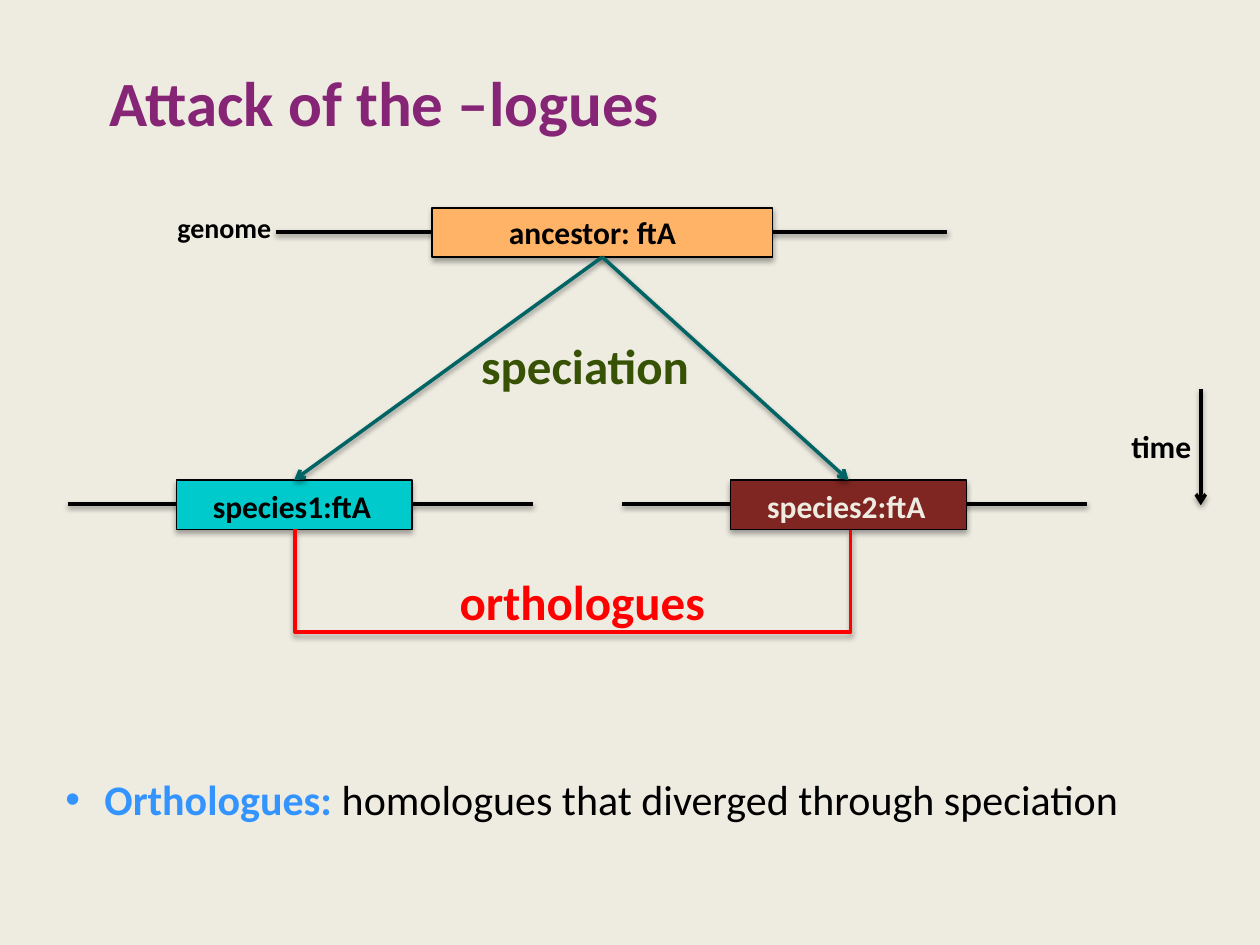
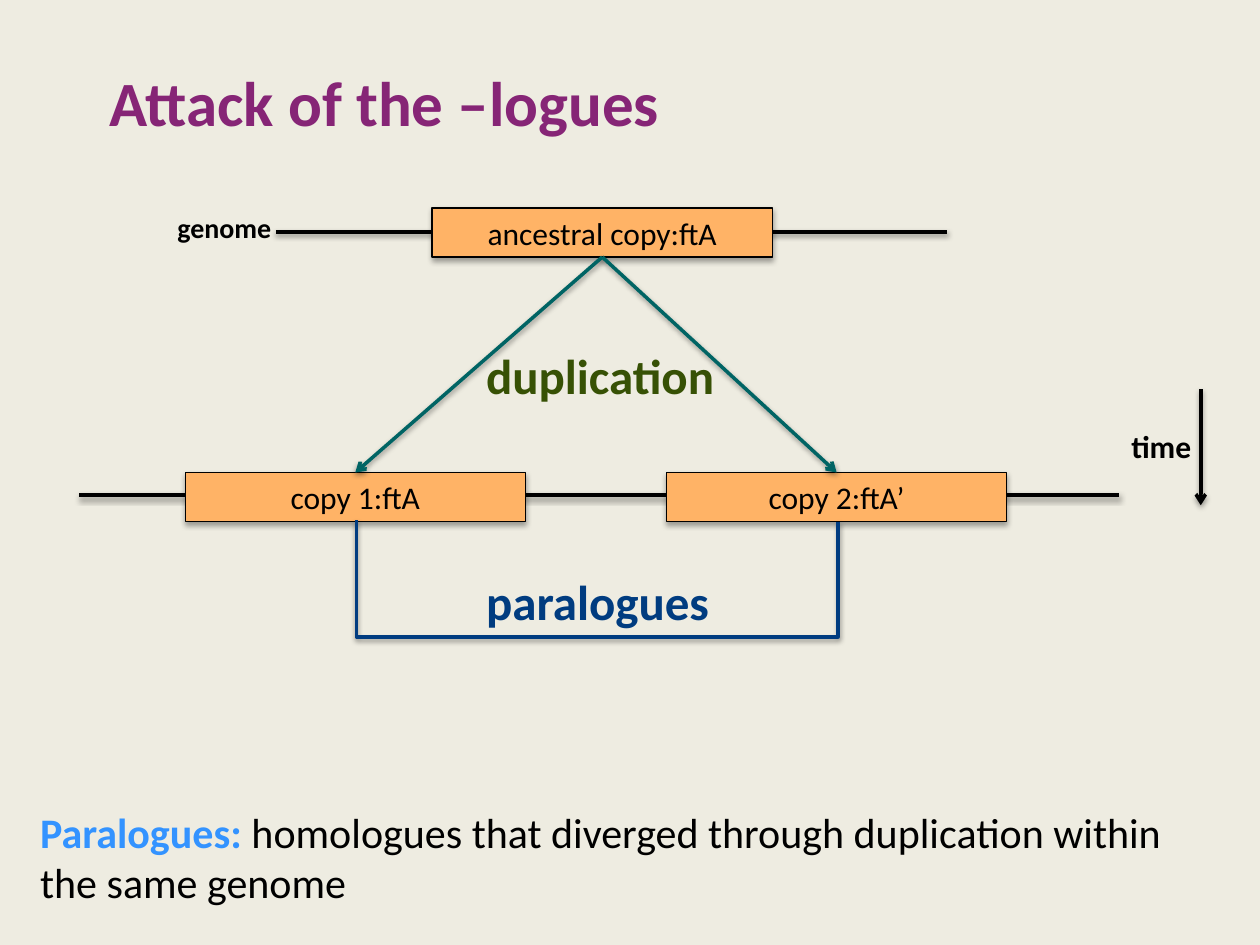
from lxml import etree
from pptx import Presentation
from pptx.dml.color import RGBColor
from pptx.enum.shapes import MSO_CONNECTOR as CONN, MSO_SHAPE as SHAPE
from pptx.enum.text import MSO_ANCHOR as ANCHOR, MSO_AUTO_SIZE as FIT, PP_ALIGN as ALIGN
from pptx.oxml import parse_xml
from pptx.oxml.ns import nsdecls, qn
from pptx.util import Inches, Pt

PAPER, BLACK, PLUM = "EEECE1", "000000", "862576"
ORANGE, CYAN, MAROON = "FFB366", "00CACB", "7F2522"
TEAL, GREEN, RED, NAVY, SKY = "006464", "375105", "FF0000", "003C80", "3393FF"
GENE_H = 0.39


def rgb(value):
    return RGBColor.from_string(value)


class Deck:
    font = "Calibri"

    def __init__(self):
        self.prs = Presentation()
        self.prs.slide_width, self.prs.slide_height = Inches(10), Inches(7.5)
        self.s = None

    def slide(self):
        self.s = self.prs.slides.add_slide(self.prs.slide_layouts[6])
        fill = self.s.background.fill
        fill.solid()
        fill.fore_color.rgb = rgb(PAPER)

    def style(self, target, size, color, bold):
        f = target.font
        f.name, f.size, f.bold = self.font, Pt(size), bold
        f.color.rgb = rgb(color)

    def shadow(self, sp, distance, alpha):
        sp._element.spPr.append(parse_xml(
            f'<a:effectLst {nsdecls("a")}><a:outerShdw blurRad="{Pt(3.1)}" '
            f'dist="{Pt(distance)}" dir="5400000" rotWithShape="0">'
            f'<a:srgbClr val="{BLACK}"><a:alpha val="{alpha * 1000}"/></a:srgbClr>'
            '</a:outerShdw></a:effectLst>'))

    def text(self, x, y, w, h, text, size, color=BLACK, bold=True, wrap=False):
        box = self.s.shapes.add_textbox(Inches(x), Inches(y), Inches(w), Inches(h))
        tf = box.text_frame
        tf.word_wrap = wrap
        tf.auto_size = FIT.SHAPE_TO_FIT_TEXT
        tf.text = text
        self.style(tf.paragraphs[0], size, color, bold)
        return tf

    def title(self, text):
        tf = self.text(0.87, 0.44, 7.73, 0.72, text, 36, PLUM, wrap=True)
        tf.auto_size = FIT.NONE
        tf.vertical_anchor = ANCHOR.MIDDLE
        tf.margin_left = 0

    def definition(self, x, y, w, h, term, meaning, bullet=False):
        tf = self.text(x, y, w, h, "", 24, wrap=True)
        p = tf.paragraphs[0]
        if bullet:
            pPr = p._p.get_or_add_pPr()
            pPr.set("marL", str(Inches(0.31)))
            pPr.set("indent", str(Inches(-0.31)))
            pPr.insert(0, parse_xml(f'<a:buFont {nsdecls("a")} typeface="Arial"/>'))
            pPr.insert(1, parse_xml(f'<a:buChar {nsdecls("a")} char="•"/>'))
        for part, color, bold in ((term, SKY, True), (meaning, BLACK, False)):
            r = p.add_run()
            r.text = part
            self.style(r, 24, color, bold)

    def gene(self, x, y, w, fill, label=""):
        sp = self.s.shapes.add_shape(SHAPE.RECTANGLE, Inches(x), Inches(y),
                                     Inches(w), Inches(GENE_H))
        sp.fill.solid()
        sp.fill.fore_color.rgb = rgb(fill)
        sp.line.color.rgb = rgb(BLACK)
        sp.line.width = Pt(0.75)
        self.shadow(sp, 1.8, 35)
        if label:
            tf = sp.text_frame
            tf.text = label
            tf.vertical_anchor = ANCHOR.MIDDLE
            p = tf.paragraphs[0]
            p.alignment = ALIGN.CENTER
            self.style(p, 18, BLACK, False)
        return sp

    def line(self, x1, y1, x2, y2, color=BLACK, arrow=False, kind=CONN.STRAIGHT):
        cx = self.s.shapes.add_connector(kind, Inches(x1), Inches(y1),
                                         Inches(x2), Inches(y2))
        cx.line.color.rgb = rgb(color)
        cx.line.width = Pt(2)
        if arrow:
            etree.SubElement(cx.line._get_or_add_ln(), qn("a:tailEnd"), type="arrow")
        self.shadow(cx, 1.6, 38)
        return cx

    def descent(self, parent, child):
        cx = self.line(0, 0, 1, 1, TEAL, arrow=True)
        cx.begin_connect(parent, 2)
        cx.end_connect(child, 0)

    def bracket(self, x1, x2, y, depth, color):
        """U-shaped elbow connector hanging below two genes."""
        rise, span = 0.01, x2 - x1
        left, top = (x1 + x2 - rise) / 2, y + (rise - span) / 2
        cx = self.line(left, top, left + rise, top + span, color, kind=CONN.ELBOW)
        spPr = cx._element.spPr
        xfrm = spPr.find(qn("a:xfrm"))
        xfrm.set("rot", "16200000")
        xfrm.set("flipH", "1")
        geom = spPr.find(qn("a:prstGeom"))
        guides = geom.find(qn("a:avLst"))
        if guides is None:
            guides = etree.SubElement(geom, qn("a:avLst"))
        etree.SubElement(guides, qn("a:gd"), name="adj1",
                         fmla=f"val {round(depth / rise * 100000)}")

    def ancestor_frame(self, label=""):
        """Title, ancestral genome and time axis; returns the ancestral gene."""
        self.slide()
        self.title("Attack of the –logues")
        self.line(2.19, 1.84, 7.52, 1.84)
        ancestor = self.gene(3.43, 1.65, 2.7, ORANGE, label)
        self.text(1.31, 1.62, 0.96, 0.37, "genome", 16)
        self.text(8.88, 3.34, 0.68, 0.4, "time", 18)
        self.line(9.53, 3.09, 9.53, 4.01, arrow=True)
        return ancestor


def orthologues(deck):
    ancestor = deck.ancestor_frame()
    species = []
    for x, fill in ((1.4, CYAN), (5.8, MAROON)):
        deck.line(x - 0.86, 4, x + 2.83, 4)
        species.append(deck.gene(x, 3.81, 1.87, fill))
    for child in species:
        deck.descent(ancestor, child)
    deck.text(3.72, 2.61, 1.87, 0.57, "speciation", 28, GREEN)

    # Gene names
    deck.text(3.94, 1.64, 1.55, 0.4, "ancestor: ftA", 18)
    deck.text(1.59, 3.82, 1.48, 0.4, "species1:ftA", 18)
    deck.text(5.99, 3.82, 1.49, 0.4, "species2:ftA", 18, PAPER)

    # Relationship and definition
    deck.bracket(2.34, 6.75, 4.2, 0.83, RED)
    deck.text(3.55, 4.49, 2.17, 0.57, "orthologues", 28, RED)
    deck.definition(0.42, 6.09, 8.91, 0.5, "Orthologues:",
                    " homologues that diverged through speciation", bullet=True)


def paralogues(deck):
    ancestor = deck.ancestor_frame("ancestral copy:ftA")
    deck.line(0.63, 3.93, 8.88, 3.93)
    copies = [deck.gene(x, 3.75, 2.7, ORANGE, name)
              for x, name in ((1.47, "copy 1:ftA"), (5.29, "copy 2:ftA’"))]
    for child in copies:
        deck.descent(ancestor, child)
    deck.text(3.76, 2.69, 2.04, 0.57, "duplication", 28, GREEN)

    # Relationship and definition
    deck.bracket(2.83, 6.65, 4.13, 0.94, NAVY)
    deck.text(3.76, 4.49, 2, 0.57, "paralogues", 28, NAVY)
    deck.definition(0.22, 6.35, 9.41, 0.91, "Paralogues:",
                    " homologues that diverged through duplication within the same genome")


def main():
    deck = Deck()
    orthologues(deck)
    paralogues(deck)
    deck.prs.save("out.pptx")


if __name__ == "__main__":
    main()
